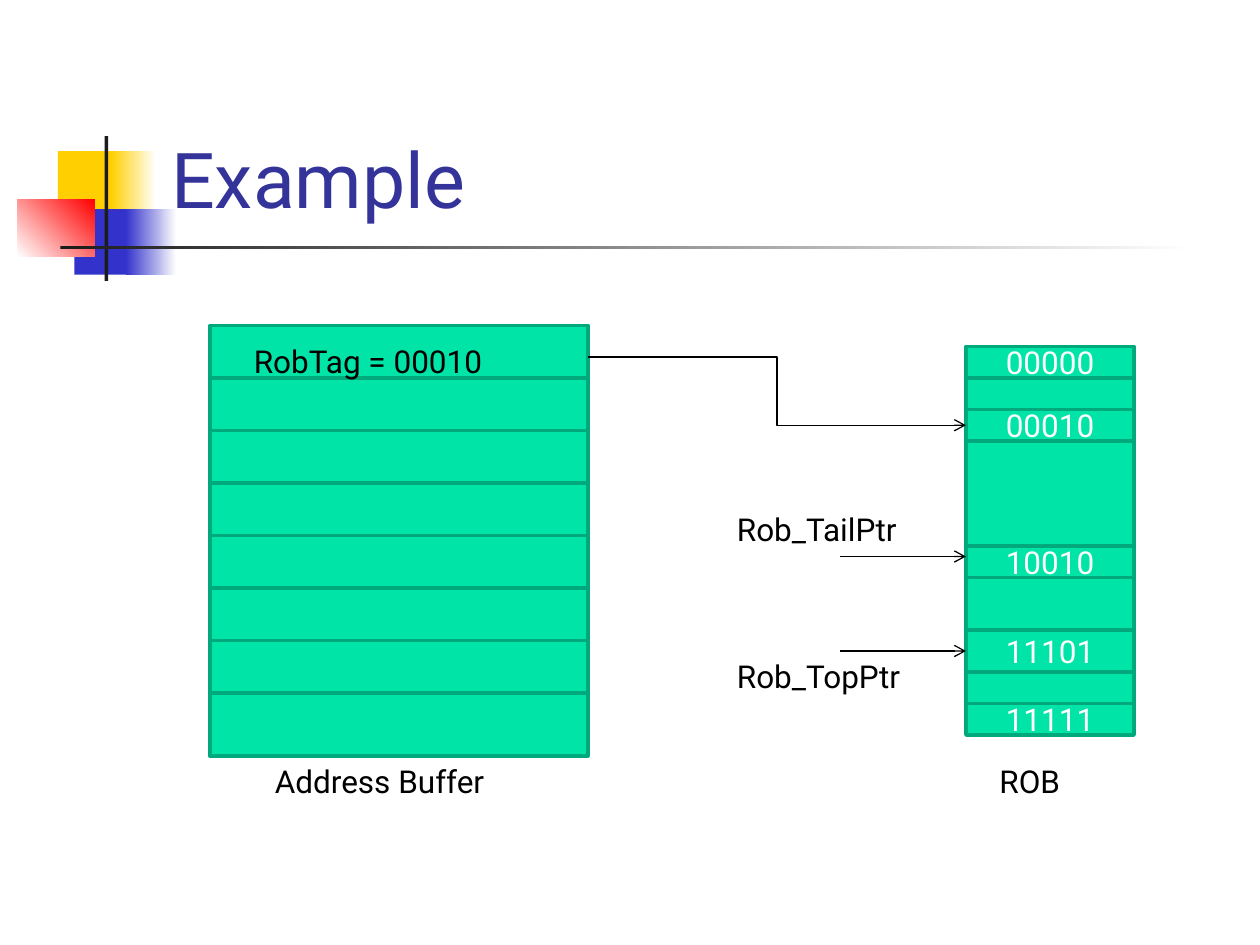
from dataclasses import dataclass
from typing import Optional

from lxml.etree import SubElement
from pptx import Presentation
from pptx.dml.color import RGBColor
from pptx.enum.shapes import MSO_CONNECTOR as Conn, MSO_SHAPE as Shape
from pptx.enum.text import MSO_ANCHOR as Anchor, MSO_AUTO_SIZE as AutoSize, PP_ALIGN as Align
from pptx.oxml.ns import qn
from pptx.util import Inches, Pt


@dataclass(frozen=True)
class Theme:
    font: str = "Roboto"
    title_size: int = 44
    body_size: int = 18
    title: str = "333399"
    ink: str = "000000"
    paper: str = "FFFFFF"
    cell: str = "00E4A8"
    border: str = "00A97C"
    yellow: str = "FFCF01"
    blue: str = "3333CC"
    red: str = "FF0000"
    bar: str = "1C1C1C"
    border_width: float = 2
    arrow_width: float = 0.75


@dataclass(frozen=True)
class Box:
    x: float
    y: float
    w: float
    h: float


@dataclass(frozen=True)
class Ornament:
    box: Box
    color: str
    end: Optional[str] = None
    angle: float = 0


@dataclass(frozen=True)
class Cell:
    row: float
    rows: float
    text: str = ""


@dataclass(frozen=True)
class Label:
    box: Box
    text: str


@dataclass(frozen=True)
class Arrow:
    kind: Conn
    x1: float
    y1: float
    x2: float
    y2: float


T = Theme()
GRID = 1 / 12
BUFFER_COL, BUFFER_COLS, BUFFER_TOP, BUFFER_STEP = 20, 36, 31, 5
ROB_COL, ROB_COLS = 92, 16

ORNAMENTS = [
    Ornament(Box(0.46, 1.2, 0.48, 0.52), T.yellow),
    Ornament(Box(0.88, 1.2, 0.36, 0.52), T.yellow, T.paper),
    Ornament(Box(0.59, 1.66, 0.46, 0.52), T.blue),
    Ornament(Box(1, 1.66, 0.4, 0.52), T.blue, T.paper),
    Ornament(Box(0.14, 1.58, 0.61, 0.46), T.paper, T.red, 45),
    Ornament(Box(0.83, 1.08, 0.03, 1.15), T.bar),
    Ornament(Box(0.48, 1.95, 9, 0.03), T.bar, T.paper),
]
BUFFER = [Cell(BUFFER_TOP + i * BUFFER_STEP, 6) for i in range(8)]
ROB = [
    Cell(33, 3, "00000"),
    Cell(36, 3),
    Cell(39, 3, "00010"),
    Cell(42, 19),
    Cell(60, 4, "11101"),
    Cell(64, 3),
    Cell(67, 3, "11111"),
    Cell(52, 3, "10010"),
]
LABELS = [
    Label(Box(23, 32, 30, 4.8), "RobTag = 00010"),
    Label(Box(25, 72, 28, 4.8), "Address Buffer"),
    Label(Box(94, 72, 15, 4.8), "ROB"),
    Label(Box(69, 62, 18, 4.8), "Rob_TopPtr"),
    Label(Box(69, 48, 18, 4.8), "Rob_TailPtr"),
]
ARROWS = [
    Arrow(Conn.ELBOW, BUFFER_COL + BUFFER_COLS, 34, ROB_COL, 40.5),
    Arrow(Conn.STRAIGHT, 80, 62, ROB_COL, 62),
    Arrow(Conn.STRAIGHT, 80, 53, ROB_COL, 53),
]


def rgb(color: str) -> RGBColor:
    return RGBColor.from_string(color)


def on_grid(box: Box) -> Box:
    return Box(box.x * GRID, box.y * GRID, box.w * GRID, box.h * GRID)


def emu(box: Box) -> list:
    return [Inches(v) for v in (box.x, box.y, box.w, box.h)]


def add_run(tf, text: str, size: float, color: str) -> None:
    r = tf.paragraphs[0].add_run()
    r.text = text
    r.font.name = T.font
    r.font.size = Pt(size)
    r.font.color.rgb = rgb(color)


def add_rect(s, box: Box, color: str):
    sp = s.shapes.add_shape(Shape.RECTANGLE, *emu(box))
    sp.shadow.inherit = False
    sp.fill.solid()
    sp.fill.fore_color.rgb = rgb(color)
    sp.line.fill.background()
    return sp


def draw_ornament(s, item: Ornament) -> None:
    sp = add_rect(s, item.box, item.color)
    if item.end:
        sp.fill.gradient()
        sp.fill.gradient_angle = item.angle
        for stop, color in zip(sp.fill.gradient_stops, (item.color, item.end)):
            stop.color.rgb = rgb(color)


def draw_cell(s, cell: Cell, col: float, cols: float) -> None:
    sp = add_rect(s, on_grid(Box(col, cell.row, cols, cell.rows)), T.cell)
    sp.line.color.rgb = rgb(T.border)
    sp.line.width = Pt(T.border_width)
    if cell.text:
        tf = sp.text_frame
        tf.vertical_anchor = Anchor.MIDDLE
        tf.paragraphs[0].alignment = Align.CENTER
        add_run(tf, cell.text, T.body_size, T.paper)


def draw_text(s, box: Box, text: str, size: float, color: str,
              anchor: Anchor = Anchor.TOP, fit: AutoSize = AutoSize.SHAPE_TO_FIT_TEXT) -> None:
    tf = s.shapes.add_textbox(*emu(box)).text_frame
    tf.word_wrap = True
    tf.auto_size = fit
    tf.vertical_anchor = anchor
    add_run(tf, text, size, color)


def draw_arrow(s, arrow: Arrow) -> None:
    ends = [Inches(v * GRID) for v in (arrow.x1, arrow.y1, arrow.x2, arrow.y2)]
    cx = s.shapes.add_connector(arrow.kind, *ends)
    cx.line.color.rgb = rgb(T.ink)
    cx.line.width = Pt(T.arrow_width)
    SubElement(cx.line._get_or_add_ln(), qn("a:tailEnd"), type="arrow")
    SubElement(cx._element.spPr, qn("a:effectLst"))


prs = Presentation()
prs.slide_width, prs.slide_height = Inches(10), Inches(7.5)
s = prs.slides.add_slide(prs.slide_layouts[6])

for ornament in ORNAMENTS:
    draw_ornament(s, ornament)
draw_text(s, Box(1.26, 0.23, 8.52, 1.6), "Example", T.title_size, T.title,
          Anchor.BOTTOM, AutoSize.NONE)
for cell in BUFFER:
    draw_cell(s, cell, BUFFER_COL, BUFFER_COLS)
for cell in ROB:
    draw_cell(s, cell, ROB_COL, ROB_COLS)
for label in LABELS:
    draw_text(s, on_grid(label.box), label.text, T.body_size, T.ink)
for arrow in ARROWS:
    draw_arrow(s, arrow)

prs.save("out.pptx")
